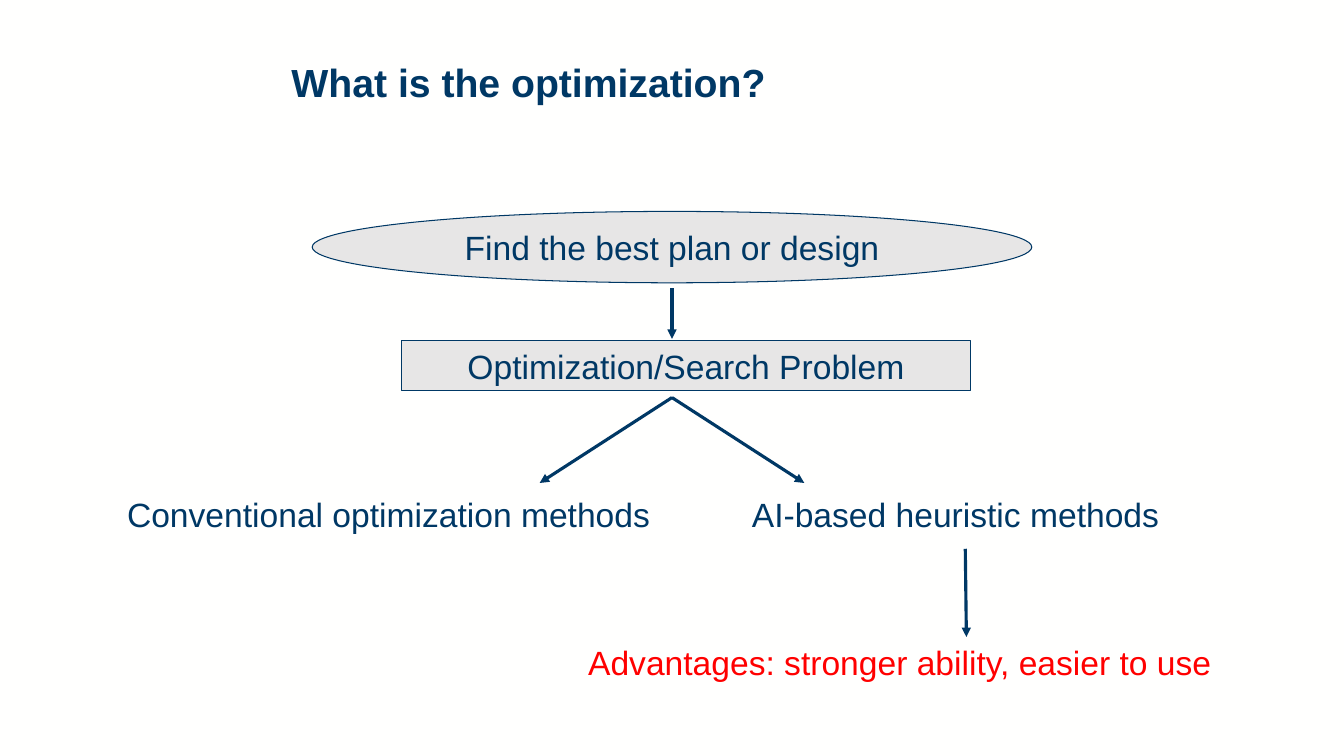
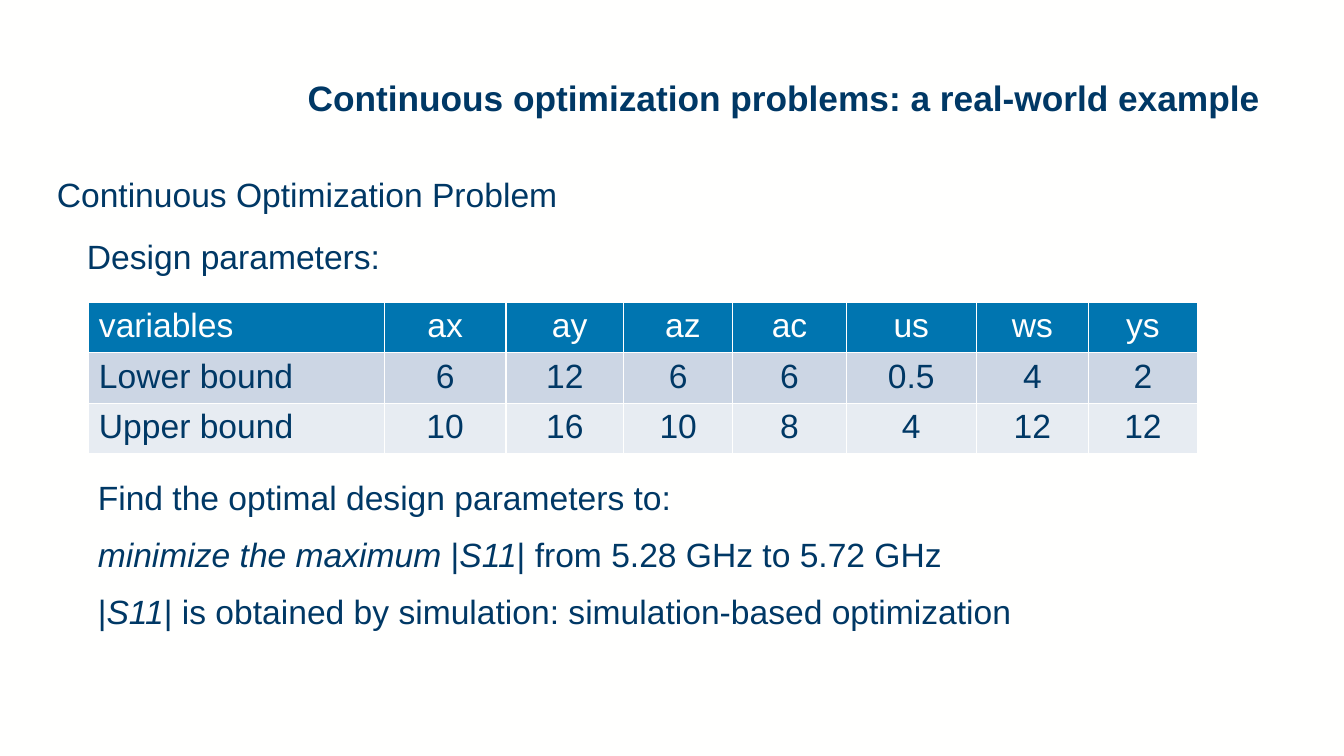
from dataclasses import dataclass
from typing import NamedTuple

from lxml.etree import SubElement as Sub
from pptx import Presentation
from pptx.dml.color import RGBColor as Rgb
from pptx.enum.shapes import MSO_CONNECTOR as Conn, MSO_SHAPE as Geo
from pptx.enum.text import MSO_ANCHOR as Anchor, PP_ALIGN as Align
from pptx.oxml.ns import qn
from pptx.slide import Slide
from pptx.util import Pt

HUES = {
    "paper": "FFFFFE",
    "navy": "003865",
    "grey": "E7E6E6",
    "red": "FF0000",
    "blue": "0075B0",
    "band": "CCD6E4",
    "pale": "E7ECF2",
}
FONT = "Arial"
SIZE = 24


class Run(NamedTuple):
    text: str
    slant: bool = False


class Box(NamedTuple):
    left: float
    top: float
    width: float
    height: float


class Arrow(NamedTuple):
    x1: float
    y1: float
    x2: float
    y2: float


@dataclass
class Label:
    box: Box
    paras: list[list[Run]]
    hue: str = "navy"
    align: Align = Align.LEFT
    anchor: Anchor = Anchor.TOP
    wrap: bool = True
    line: float = 1.0


@dataclass
class Node:
    geo: Geo
    box: Box
    text: str


NODES = [
    Node(Geo.RECTANGLE, Box(286.5, 243.3, 407, 36), "Optimization/Search Problem"),
    Node(Geo.OVAL, Box(223, 151, 514, 51), "Find the best plan or design"),
]
ARROWS = [
    Arrow(480, 206, 480, 242),
    Arrow(480, 284, 385.5, 345),
    Arrow(480, 284, 574.5, 345),
    Arrow(689.5, 392, 690.3, 455),
]
LABELS = [
    Label(Box(50, 349.5, 455, 36), [[Run("Conventional optimization methods")]],
          align=Align.CENTER),
    Label(Box(530, 349.5, 355, 36), [[Run("AI-based heuristic methods")]]),
    Label(Box(413, 455, 514, 36),
          [[Run("Advantages: stronger ability, easier to use")]], hue="red"),
]
NOTES = [
    Label(Box(33.5, 112.5, 613, 44.5), [[Run("Continuous Optimization Problem")]],
          anchor=Anchor.BOTTOM, line=0.9),
    Label(Box(55, 165, 232, 36), [[Run("Design parameters:")]], wrap=False),
    Label(Box(62.8, 337, 711, 119), [
        [Run("Find the optimal design parameters to:")],
        [Run("minimize the maximum ", True), Run("|"), Run("S11", True),
         Run("| from 5.28 GHz to 5.72 GHz")],
        [Run("|"), Run("S11", True),
         Run("| is obtained by simulation: simulation-based optimization")],
    ]),
]
COLS = [211, 87, 84, 78, 81, 93, 80, 78]
ROWS = [
    ["variables", "ax", "ay", "az", "ac", "us", "ws", "ys"],
    ["Lower bound", "6", "12", "6", "6", "0.5", "4", "2"],
    ["Upper bound", "10", "16", "10", "8", "4", "12", "12"],
]
FILLS = ["blue", "band", "pale"]
NUDGED = {"ay", "az"}


def tint(name: str) -> Rgb:
    return Rgb.from_string(HUES[name])


def place(box: Box) -> list[Pt]:
    return [Pt(n) for n in box]


def write(para, runs: list[Run], hue: str = "navy",
          size: float = SIZE, bold: bool = False) -> None:
    for part in runs:
        run = para.add_run()
        run.text = part.text
        font = run.font
        font.name, font.size = FONT, Pt(size)
        font.bold, font.italic = bold, part.slant
        font.color.rgb = tint(hue)


def start(deck, text: str, box: Box, size: float) -> Slide:
    page = deck.slides.add_slide(deck.slide_layouts[5])
    title = page.shapes.title
    title.left, title.top, title.width, title.height = place(box)
    frame = title.text_frame
    frame.word_wrap = True
    frame.vertical_anchor = Anchor.TOP
    para = frame.paragraphs[0]
    para.alignment = Align.LEFT
    para.line_spacing = 0.9
    write(para, [Run(text)], size=size, bold=True)
    return page


def add_label(page: Slide, label: Label) -> None:
    frame = page.shapes.add_textbox(*place(label.box)).text_frame
    frame.word_wrap = label.wrap
    frame.vertical_anchor = label.anchor
    for i, runs in enumerate(label.paras):
        para = frame.add_paragraph() if i else frame.paragraphs[0]
        para.alignment = label.align
        para.line_spacing = label.line
        if i:
            para.space_before = Pt(12)
        write(para, runs, label.hue)


def add_node(page: Slide, node: Node) -> None:
    shape = page.shapes.add_shape(node.geo, *place(node.box))
    shape.shadow.inherit = False
    shape.fill.solid()
    shape.fill.fore_color.rgb = tint("grey")
    shape.line.color.rgb = tint("navy")
    shape.line.width = Pt(0.75)
    frame = shape.text_frame
    frame.word_wrap = True
    frame.vertical_anchor = Anchor.MIDDLE
    para = frame.paragraphs[0]
    para.alignment = Align.CENTER
    write(para, [Run(node.text)])


def add_arrow(page: Slide, arrow: Arrow) -> None:
    link = page.shapes.add_connector(Conn.STRAIGHT, *[Pt(n) for n in arrow])
    link.line.color.rgb = tint("navy")
    link.line.width = Pt(2.25)
    props = link._element.spPr
    Sub(props.find(qn("a:ln")), qn("a:tailEnd"), type="triangle")
    Sub(props, qn("a:effectLst"))


def edge(cell) -> None:
    props = cell._tc.get_or_add_tcPr()
    for i, side in enumerate(("lnL", "lnR", "lnT", "lnB")):
        line = props.makeelement(qn(f"a:{side}"), {"w": str(Pt(1))})
        fill = Sub(line, qn("a:solidFill"))
        Sub(fill, qn("a:srgbClr"), val=HUES["paper"])
        props.insert(i, line)


def add_grid(page: Slide, left: float, top: float, high: float) -> None:
    box = Box(left, top, sum(COLS), high * len(ROWS))
    grid = page.shapes.add_table(len(ROWS), len(COLS), *place(box)).table
    grid.horz_banding = False
    for col, width in zip(grid.columns, COLS):
        col.width = Pt(width)
    for r, row in enumerate(ROWS):
        grid.rows[r].height = Pt(high)
        for c, text in enumerate(row):
            cell = grid.cell(r, c)
            cell.fill.solid()
            cell.fill.fore_color.rgb = tint(FILLS[r])
            cell.margin_left = Pt(14 if text in NUDGED else 7.2)
            edge(cell)
            para = cell.text_frame.paragraphs[0]
            para.alignment = Align.CENTER if c else Align.LEFT
            write(para, [Run(text)], "navy" if r else "paper")


def draw_flow(deck) -> None:
    page = start(deck, "What is the optimization?", Box(201, 42, 725, 70), 28)
    for node in NODES:
        add_node(page, node)
    for arrow in ARROWS:
        add_arrow(page, arrow)
    for label in LABELS:
        add_label(page, label)


def draw_case(deck) -> None:
    page = start(deck, "Continuous optimization problems: a real-world example",
                 Box(212.5, 54, 725, 70), 25.2)
    add_grid(page, 63.5, 216, 36)
    for label in NOTES:
        add_label(page, label)


def main() -> None:
    deck = Presentation()
    deck.slide_width, deck.slide_height = Pt(960), Pt(540)
    back = deck.slide_master.background.fill
    back.solid()
    back.fore_color.rgb = tint("paper")
    draw_flow(deck)
    draw_case(deck)
    deck.save("out.pptx")


if __name__ == "__main__":
    main()
